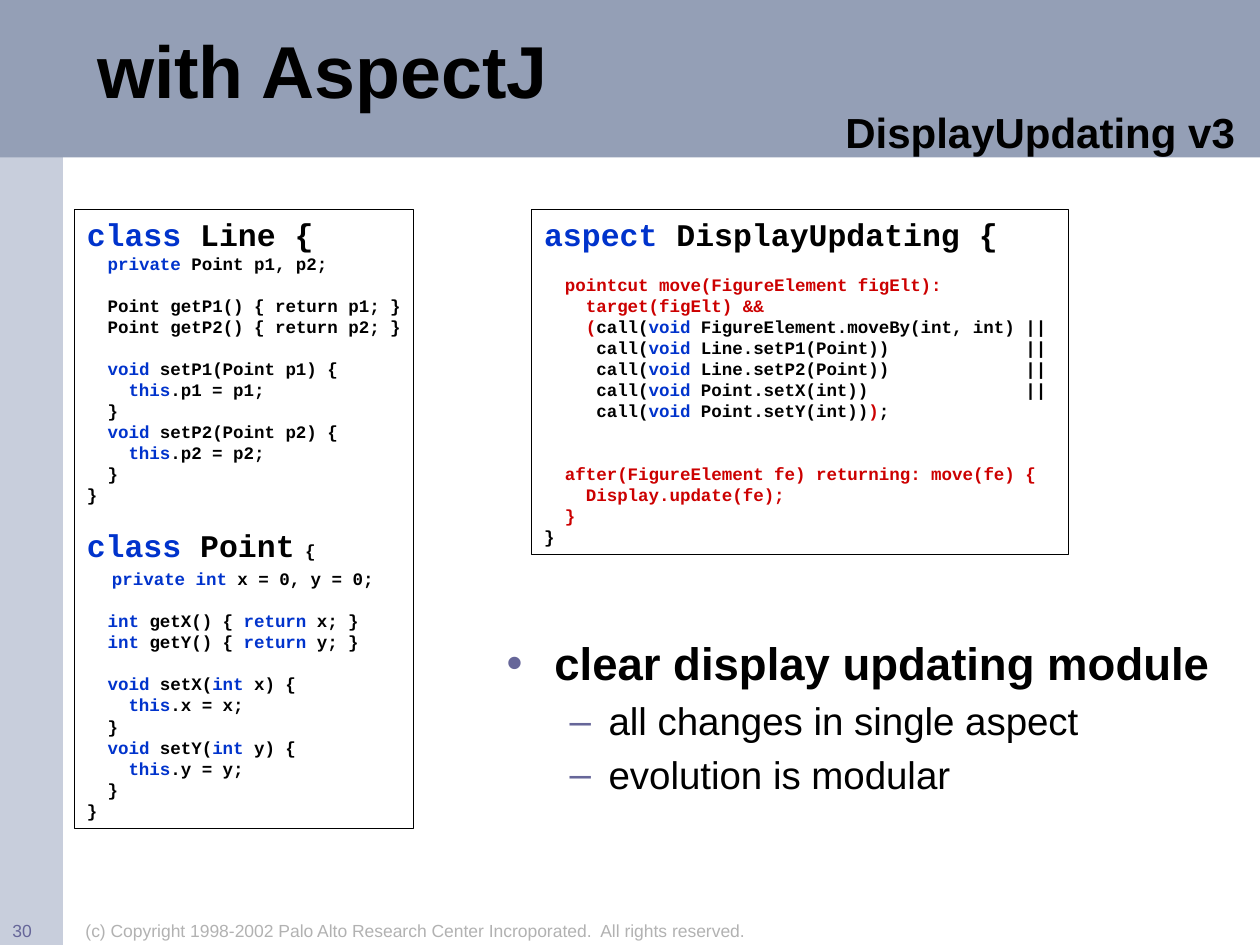
from pptx import Presentation
from pptx.dml.color import RGBColor
from pptx.enum.shapes import MSO_SHAPE
from pptx.enum.text import MSO_ANCHOR, MSO_AUTO_SIZE, PP_ALIGN
from pptx.util import Inches, Pt
from lxml import etree

BLACK, BLUE, RED, BULLET = "000000", "0033CC", "CC0000", "666699"
NS = "http://schemas.openxmlformats.org/drawingml/2006/main"


def rgb(value):
    return RGBColor.from_string(value)


def add_run(p, text, size, color=BLACK, bold=False, font="Arial"):
    r = p.add_run()
    r.text = text
    r.font.name, r.font.size, r.font.bold = font, Pt(size), bold
    r.font.color.rgb = rgb(color)


prs = Presentation()
prs.slide_width, prs.slide_height = Inches(10), Inches(7.5)
s = prs.slides.add_slide(prs.slide_layouts[1])

# Side and top bands, placed behind the placeholders
bands = [(0.5, 7.5, "C8CEDC"), (10, 1.25, "949FB6")]
for i, (width, height, color) in enumerate(bands):
    sp = s.shapes.add_shape(MSO_SHAPE.RECTANGLE, 0, 0, Inches(width), Inches(height))
    sp.shadow.inherit = False
    sp.fill.solid()
    sp.fill.fore_color.rgb = rgb(color)
    sp.line.fill.background()
    s.shapes._spTree.insert(2 + i, sp._element)

# Title
sp = s.shapes.title
sp.left, sp.top, sp.width, sp.height = [Inches(v) for v in (0.67, 0.08, 8.33, 1.05)]
tf = sp.text_frame
tf.auto_size = MSO_AUTO_SIZE.NONE
tf.vertical_anchor = MSO_ANCHOR.MIDDLE
p = tf.paragraphs[0]
p.alignment, p.line_spacing = PP_ALIGN.LEFT, 0.85
add_run(p, "with AspectJ", 42, bold=True)

# Bulleted conclusions: level, text, size, space before, left margin, indent, bullet
sp = s.placeholders[1]
sp.left, sp.top, sp.width, sp.height = [Inches(v) for v in (3.92, 5.06, 6, 1.42)]
tf = sp.text_frame
tf.auto_size = MSO_AUTO_SIZE.NONE
points = [
    (0, "clear display updating module", 26, 0, 0.38, -0.38, "•"),
    (1, "all changes in single aspect", 22, 8.2, 0.81, -0.31, "–"),
    (1, "evolution is modular", 22, 8.2, 0.81, -0.31, "–"),
]
for i, (level, text, size, before, margin, indent, bullet) in enumerate(points):
    p = tf.add_paragraph() if i else tf.paragraphs[0]
    p.level, p.line_spacing, p.space_before = level, 0.85, Pt(before)
    pPr = p._p.get_or_add_pPr()
    pPr.set("marL", str(Inches(margin)))
    pPr.set("indent", str(Inches(indent)))
    buClr = etree.SubElement(pPr, f"{{{NS}}}buClr")
    etree.SubElement(buClr, f"{{{NS}}}srgbClr", val=BULLET)
    etree.SubElement(pPr, f"{{{NS}}}buChar", char=bullet)
    add_run(p, text, size, bold=level == 0)

# Code listings: ~blue~, ^red^, an empty line is a gap;
# a line with mixed or larger sizes is a list of (size, text) pieces
aspect_code = [
    [(18, "~aspect~ DisplayUpdating {")],
    "",
    "^  pointcut move(FigureElement figElt):^",
    "^    target(figElt) &&^",
    "^    (^call(~void~ FigureElement.moveBy(int, int) ||",
    "     call(~void~ Line.setP1(Point))             ||",
    "     call(~void~ Line.setP2(Point))             ||",
    "     call(~void~ Point.setX(int))               ||",
    "     call(~void~ Point.setY(int))^)^;",
    "",
    "",
    "^  after(FigureElement fe) returning: move(fe) {^",
    "^    Display.update(fe);^",
    "^  }^",
    "}",
]
class_code = [
    [(18, "~class~ Line {")],
    "  ~private~ Point p1, p2;",
    "",
    "  Point getP1() { return p1; }",
    "  Point getP2() { return p2; }",
    "",
    "  ~void~ setP1(Point p1) {",
    "    ~this~.p1 = p1;",
    "  }",
    "  ~void~ setP2(Point p2) {",
    "    ~this~.p2 = p2;",
    "  }",
    "}",
    "",
    [(18, "~class~ Point"), (10, " {")],
    [(12, "  "), (10, "~private int~ x = 0, y = 0;")],
    "",
    "  ~int ~getX() { ~return ~x; }",
    "  ~int ~getY() { ~return ~y; }",
    "",
    "  ~void ~setX(~int ~x) {",
    "    ~this~.x = x;",
    "  }",
    "  ~void ~setY(~int ~y) {",
    "    ~this~.y = y;",
    "  }",
    "}",
]
listings = [(4.22, 4.26, 2.74, aspect_code), (0.59, 2.69, 4.91, class_code)]
for left, width, height, code in listings:
    sp = s.shapes.add_shape(MSO_SHAPE.RECTANGLE, Inches(left), Inches(1.66),
                            Inches(width), Inches(height))
    sp.shadow.inherit = False
    sp.fill.background()
    sp.line.color.rgb = rgb(BLACK)
    sp.line.width = Pt(0.25)
    tf = sp.text_frame
    tf.word_wrap = False
    tf.auto_size = MSO_AUTO_SIZE.SHAPE_TO_FIT_TEXT
    tf.vertical_anchor = MSO_ANCHOR.TOP
    gap = 0
    for i, line in enumerate(code):
        if not line:
            gap += 12
            continue
        p = tf.add_paragraph() if i else tf.paragraphs[0]
        p.alignment, p.space_before = PP_ALIGN.LEFT, Pt(gap)
        gap = 0
        for size, piece in [(10, line)] if isinstance(line, str) else line:
            for j, part in enumerate(piece.split("~")):
                for k, text in enumerate(part.split("^")):
                    color = BLUE if j % 2 else RED if k % 2 else BLACK
                    if text:
                        add_run(p, text, size, color, True, "Courier New")

# Subtitle, copyright line and slide number
labels = [
    (3.42, 0.8, 6.48, 0.5, "DisplayUpdating v3", 24, BLACK, True, PP_ALIGN.RIGHT),
    (0.58, 7.25, 5.58, 0.25,
     "(c) Copyright 1998-2002 Palo Alto Research Center Incroporated.  All rights reserved.",
     10, "B2B2B2", False, PP_ALIGN.LEFT),
    (0, 7.25, 0.5, 0.25, "30", 10, BULLET, False, PP_ALIGN.LEFT),
]
for left, top, width, height, text, size, color, bold, align in labels:
    sp = s.shapes.add_textbox(Inches(left), Inches(top), Inches(width), Inches(height))
    tf = sp.text_frame
    tf.word_wrap = True
    p = tf.paragraphs[0]
    p.alignment = align
    add_run(p, text, size, color, bold)

prs.save("out.pptx")
